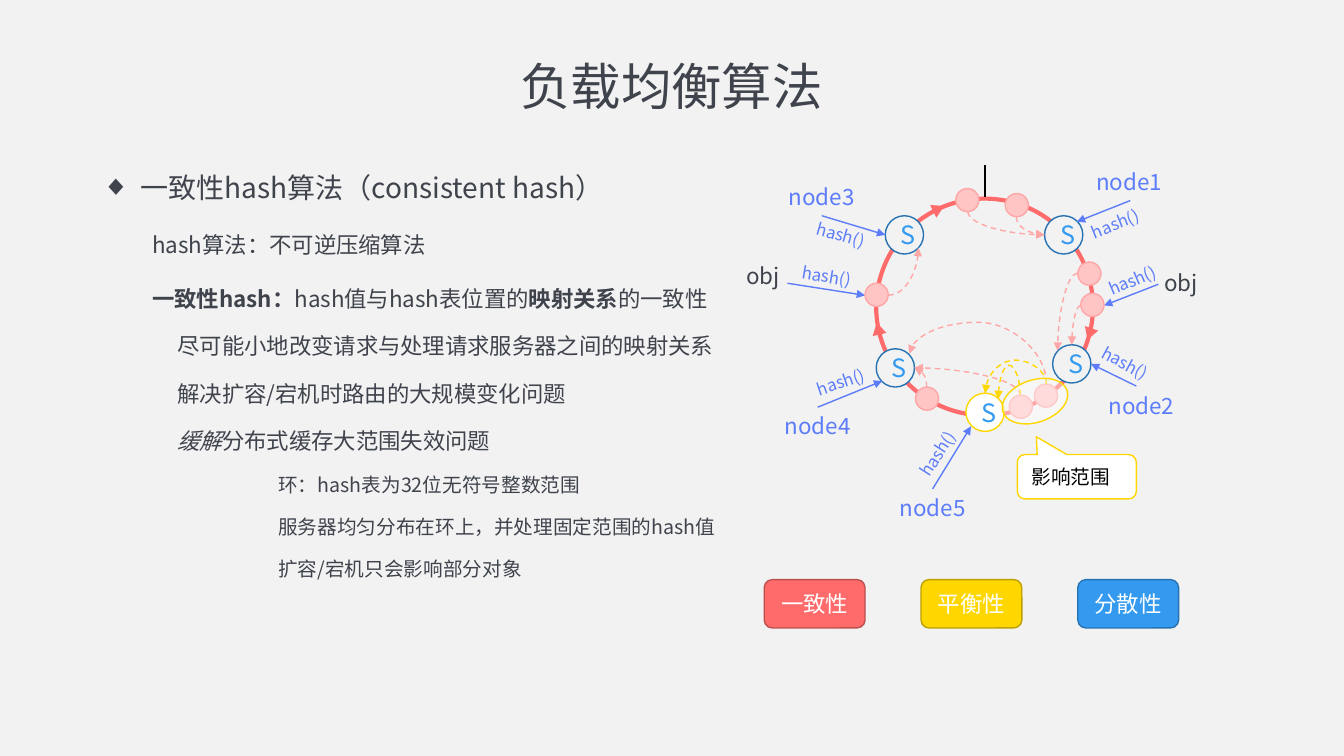
from lxml import etree
from pptx import Presentation
from pptx.dml.color import RGBColor
from pptx.enum import dml, shapes, text
from pptx.oxml import ns
from pptx.util import Inches, Pt

FONT = "Noto Sans CJK SC"
COLORS = {
    "paper": "F2F2F2", "ink": "3F434C", "black": "000000", "white": "FFFFFF",
    "ring": "FF6B6B", "ring_edge": "BD4F4F", "object": "FFC4C4", "route": "FFA6A6",
    "yellow": "FFD700", "yellow_edge": "BD9F00",
    "blue": "339AF0", "blue_edge": "2672B2", "node": "5C7CFA",
}
PRESET = shapes.MSO_SHAPE
CURVE = shapes.MSO_CONNECTOR.CURVE
STRAIGHT = shapes.MSO_CONNECTOR.STRAIGHT

BODY = [
    (0, 0.38, -0.38, 0, 20, [("一致性hash算法（consistent hash）", "")]),
    (2, 0.5, 0, 10, 16, [("hash算法：不可逆压缩算法", "")]),
    (2, 0.5, 0, 10, 16, [("一致性hash：", "b"), ("hash值与hash表位置的", ""),
                         ("映射关系", "b"), ("的一致性", "")]),
    (1, 0.75, 0, 5, 16, [("尽可能小地改变请求与处理请求服务器之间的映射关系", "")]),
    (1, 0.75, 0, 5, 16, [("解决扩容/宕机时路由的大规模变化问题", "")]),
    (1, 0.75, 0, 5, 16, [("缓解", "i"), ("分布式缓存大范围失效问题", "")]),
    (1, 1.75, 0, 5, 14, [("环：hash表为32位无符号整数范围", "")]),
    (1, 1.75, 0, 5, 14, [("服务器均匀分布在环上，并处理固定范围的hash值", "")]),
    (1, 1.75, 0, 5, 14, [("扩容/宕机只会影响部分对象", "")]),
]
NODES = [
    ("node4", (8.69, 3.46), (7.6, 4.04), (8.11, 4.04), (8.75, 3.78), (7.89, 3.64), 341.3),
    ("node3", (8.78, 2.14), (7.64, 1.77), (8.15, 2.14), (8.78, 2.33), (7.89, 2.18), 16),
    ("node2", (10.44, 3.42), (10.81, 3.84), (11.27, 3.83), (10.82, 3.61), (10.71, 3.45), 28.3),
    ("node1", (10.36, 2.14), (10.69, 1.62), (11.21, 1.99), (10.68, 2.2), (10.61, 2.07), 338.2),
]
NEW_NODE = ("node5", (9.58, 3.9), (8.74, 4.85), (9.25, 4.85), (9.63, 4.23), (8.85, 4.35), 302.8)
REQUESTS = [
    ((11.34, 2.62), (11.49, 2.82), (10.95, 3.03), (10.78, 2.63), 337.3),
    ((7.19, 2.55), (7.81, 2.81), (8.58, 2.93), (7.75, 2.59), 9.6),
]
OBJECTS = [(8.58, 2.81), (9.48, 1.87), (9.97, 1.92), (10.69, 2.6),
           (10.72, 2.91), (9.08, 3.84), (10.26, 3.81), (10.01, 3.92)]
ROUTES = [
    ((8.81, 2.93), (9.11, 2.46), False, None),
    ((9.6, 2.1), (10.36, 2.33), True, None),
    ((10.08, 2.15), (10.36, 2.33), True, None),
    ((10.69, 2.71), (10.49, 3.48), False, None),
    ((10.72, 3.03), (10.63, 3.42), False, None),
    ((9.19, 3.84), (9.07, 3.65), True, None),
    ((10.38, 3.81), (9.02, 3.51), True, 2.04),
]
LATE_ROUTE = ((10.12, 3.92), (9.07, 3.65), True, None)
MOVED_ROUTES = [
    ((10.38, 3.81), (9.77, 3.9), True, -2.64),
    ((10.12, 3.92), (9.9, 3.96), True, -7.39),
]
DIRECTIONS = [(9.24, 2.01, 63.6), (8.64, 3.2, 347.1), (10.73, 3.22, 319.2)]
BADGES = [("一致性", "ring", "ring_edge"), ("平衡性", "yellow", "yellow_edge"),
          ("分散性", "blue", "blue_edge")]


def rgb(color):
    return RGBColor.from_string(COLORS[color])


def sub(parent, tag, **attrs):
    return etree.SubElement(parent, ns.qn(tag), attrs)


def style(paragraph, size, color, align=None):
    paragraph.alignment = align
    paragraph.font.size = Pt(size)
    paragraph.font.color.rgb = rgb(color)
    paragraph.font.name = FONT
    sub(paragraph.font._element, "a:ea", typeface=FONT)


def write(shape, words, size, color, align=text.PP_ALIGN.CENTER):
    frame = shape.text_frame
    frame.word_wrap = True
    frame.text = words
    style(frame.paragraphs[0], size, color, align)
    return frame


def draw(parent, preset, box, fill=None, line=None, width=1):
    shape = parent.shapes.add_shape(preset, *map(Inches, box))
    shape.shadow.inherit = False
    if fill:
        shape.fill.solid()
        shape.fill.fore_color.rgb = rgb(fill)
    else:
        shape.fill.background()
    if line:
        shape.line.color.rgb = rgb(line)
        shape.line.width = Pt(width)
    else:
        shape.line.fill.background()
    return shape


def label(parent, words, box, size, color, rotation=0):
    caption = parent.shapes.add_textbox(*map(Inches, box))
    frame = write(caption, words, size, color)
    frame.auto_size = text.MSO_AUTO_SIZE.SHAPE_TO_FIT_TEXT
    caption.rotation = rotation


def link(parent, kind, start, end, color, width=1, dashed=False, arrow=True):
    connector = parent.shapes.add_connector(kind, *map(Inches, start + end))
    connector.line.color.rgb = rgb(color)
    connector.line.width = Pt(width)
    if dashed:
        connector.line.dash_style = dml.MSO_LINE.DASH
    if arrow:
        sub(connector.line._get_or_add_ln(), "a:tailEnd", type="triangle")
    sub(connector._element.spPr, "a:effectLst")
    return connector


def route(slide, start, end, upright, bend, color="route"):
    if upright:
        (x1, y1), (x2, y2) = start, end
        mid_x, mid_y = (x1 + x2) / 2, (y1 + y2) / 2
        half_x, half_y = (y1 - y2) / 2, (x2 - x1) / 2
        start, end = (mid_x - half_x, mid_y - half_y), (mid_x + half_x, mid_y + half_y)
    properties = link(slide, CURVE, start, end, color, dashed=True)._element.spPr
    if upright:
        properties.find(ns.qn("a:xfrm")).set("rot", str(270 * 60000))
    geometry = properties.find(ns.qn("a:prstGeom"))
    if bend is None:
        geometry.set("prst", "curvedConnector2")
    else:
        guides = geometry.find(ns.qn("a:avLst"))
        sub(guides, "a:gd", name="adj1", fmla=f"val {round(bend * 100000)}")


def hash_arrow(group, start, end, hash_at, rotation):
    link(group, STRAIGHT, start, end, "node")
    label(group, "hash()", (*hash_at, 0.9, 0.3), 12, "node", rotation)


def node(slide, name, server_at, name_at, start, end, hash_at, rotation,
         fill="paper", edge="blue_edge"):
    group = slide.shapes.add_group_shape()
    server = draw(group, PRESET.OVAL, (*server_at, 0.38, 0.38), fill, edge)
    write(server, "S", 18, "blue")
    label(group, name, (*name_at, 1.02, 0.37), 16, "node")
    hash_arrow(group, start, end, hash_at, rotation)


def request(slide, name_at, *arrow):
    group = slide.shapes.add_group_shape()
    hash_arrow(group, *arrow)
    label(group, "obj", (*name_at, 0.75, 0.37), 16, "ink")


def place(holder, box):
    holder.left, holder.top, holder.width, holder.height = map(Inches, box)
    holder.text_frame.auto_size = text.MSO_AUTO_SIZE.NONE


def add_title(slide):
    title = slide.shapes.title
    place(title, (0.91, 0.29, 11.5, 1.18))
    frame = write(title, "负载均衡算法", 36, "ink")
    frame.vertical_anchor = text.MSO_ANCHOR.MIDDLE
    frame.paragraphs[0].line_spacing = 0.9


def add_body(slide):
    body = slide.placeholders[1]
    place(body, (0.91, 1.47, 11.5, 5.62))
    frame = body.text_frame
    frame.vertical_anchor = text.MSO_ANCHOR.TOP
    for index, (level, margin, indent, before, size, runs) in enumerate(BODY):
        paragraph = frame.add_paragraph() if index else frame.paragraphs[0]
        paragraph.level = level
        paragraph.line_spacing = 1.5
        paragraph.space_before = Pt(before)
        properties = paragraph._p.get_or_add_pPr()
        properties.set("marL", str(Inches(margin)))
        properties.set("indent", str(Inches(indent)))
        if indent:
            sub(properties, "a:buChar", char="◆")
        else:
            sub(properties, "a:buNone")
        style(paragraph, size, "ink", text.PP_ALIGN.LEFT)
        for words, emphasis in runs:
            run = paragraph.add_run()
            run.text = words
            if emphasis == "b":
                run.font.bold = True
            if emphasis == "i":
                run.font.italic = True


def add_callout(slide):
    callout = draw(slide, PRESET.ROUNDED_RECTANGULAR_CALLOUT, (10.09, 4.51, 1.18, 0.44),
                   "white", "yellow")
    for index, value in enumerate((-0.34, -0.9, 0.17)):
        callout.adjustments[index] = value
    frame = write(callout, "影响范围", 14, "black", text.PP_ALIGN.LEFT)
    frame.margin_left = frame.margin_right = Inches(0.12)
    frame.margin_top = frame.margin_bottom = Inches(0.08)
    frame.auto_size = text.MSO_AUTO_SIZE.SHAPE_TO_FIT_TEXT


def add_ring(slide):
    draw(slide, PRESET.OVAL, (8.69, 1.97, 2.15, 2.15), line="ring", width=3)
    link(slide, STRAIGHT, (9.77, 1.64), (9.77, 1.95), "black", 1.5, arrow=False)
    for server in NODES:
        node(slide, *server)
    for path_to_server in ROUTES:
        route(slide, *path_to_server)
    for item in REQUESTS:
        request(slide, *item)
    node(slide, *NEW_NODE, fill="white", edge="yellow")
    objects = slide.shapes.add_group_shape()
    for position in OBJECTS:
        draw(objects, PRESET.OVAL, (*position, 0.23, 0.23), "object", "route")
    route(slide, *LATE_ROUTE)
    add_callout(slide)
    for moved in MOVED_ROUTES:
        route(slide, *moved, color="yellow")
    affected = draw(slide, PRESET.OVAL, (9.93, 3.77, 0.67, 0.42), "white", "yellow")
    affected.rotation = 341.4
    sub(affected.fill._xPr.find(ns.qn("a:solidFill"))[0], "a:alpha", val="40000")
    for left, top, rotation in DIRECTIONS:
        draw(slide, PRESET.ISOSCELES_TRIANGLE, (left, top, 0.14, 0.12), "ring").rotation = rotation


def add_badges(slide):
    group = slide.shapes.add_group_shape()
    for index, (words, fill, edge) in enumerate(BADGES):
        box = (7.58 + 1.555 * index, 5.75, 1, 0.48)
        write(draw(group, PRESET.ROUNDED_RECTANGLE, box, fill, edge), words, 16, "white")


def main():
    deck = Presentation()
    deck.slide_width, deck.slide_height = Inches(13.33), Inches(7.5)
    slide = deck.slides.add_slide(deck.slide_layouts[1])
    slide.background.fill.solid()
    slide.background.fill.fore_color.rgb = rgb("paper")
    add_title(slide)
    add_body(slide)
    add_ring(slide)
    add_badges(slide)
    deck.save("out.pptx")


if __name__ == "__main__":
    main()
